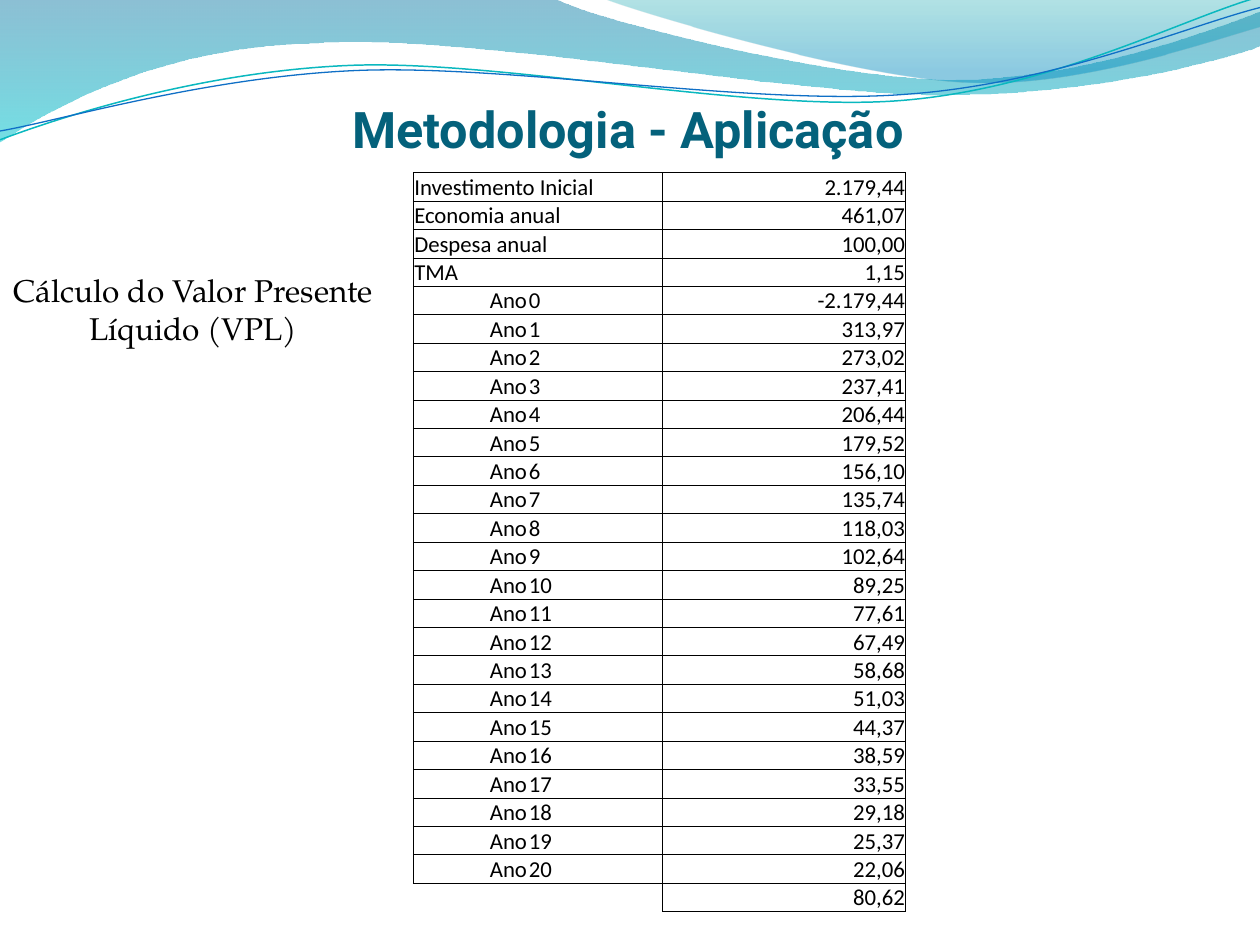
"""Builds the slide with the net present value table."""
from lxml.etree import SubElement
from pptx import Presentation
from pptx.dml.color import RGBColor
from pptx.enum.text import MSO_ANCHOR as Anchor, PP_ALIGN as Align
from pptx.oxml.ns import qn
from pptx.util import Inches, Pt

COLORS = {"ink": "000000", "title": "04617B", "teal": "0AB8BF", "blue": "0F6FC6",
          "deep": "0074A1", "aqua": "00C6CF", "sea": "00A1A9", "sky": "008BBF"}


def write_text(frame, text, size, font, color="ink", bold=False, align=Align.LEFT):
    para = frame.paragraphs[0]
    para.alignment = align
    span = para.add_run()
    span.text = text
    span.font.size = Pt(size)
    span.font.name = font
    span.font.bold = bold
    span.font.color.rgb = RGBColor.from_string(COLORS[color])


def add_curve(page, start, segments, closed=False):
    points = [(Inches(x), Inches(y)) for segment in segments
              for x, y in zip(segment[::2], segment[1::2])]
    builder = page.shapes.build_freeform(Inches(start[0]), Inches(start[1]), scale=1.0)
    builder.add_line_segments(points, close=closed)
    shape = builder.convert_to_shape()
    shape.shadow.inherit = False
    lines = list(shape.element.spPr.iter(qn("a:lnTo")))
    for segment in segments:
        count = len(segment) // 2
        group, lines = lines[:count], lines[count:]
        if count == 3:
            group[0].tag = qn("a:cubicBezTo")
            for line in group[1:]:
                group[0].append(line[0])
                line.getparent().remove(line)
    return shape


deck = Presentation()
deck.slide_width, deck.slide_height = Inches(10), Inches(7.5)
page = deck.slides.add_slide(deck.slide_layouts[6])

waves = [
    ((0, 0), [(4.4, -0.01), (4.76, 0.17, 6.64, 0.63, 7.58, 0.63),
              (8.53, 0.63, 9.58, 0.26, 10, 0.09), (10.01, 0.36),
              (9.83, 0.44, 8.7, 0.76, 7.46, 0.75), (6.22, 0.75, 3.82, 0.28, 2.57, 0.34),
              (1.29, 0.36, 0.46, 0.83, -0.01, 1.13)],
     [(0, "deep", 45), (1, "aqua", 55)]),
    ((4.79, -0.01), [(5.09, 0.11, 6.82, 0.62, 7.69, 0.65),
                     (8.56, 0.69, 9.61, 0.32, 10, 0.21), (10, 0)],
     [(0, "sea", 30), (0.8, "sky", 45)]),
]
for start, segments, stops in waves:
    wave = add_curve(page, start, segments, closed=True)
    wave.fill.gradient()
    wave.fill.gradient_angle = 270
    for stop, (position, color, _) in zip(wave.fill.gradient_stops, stops):
        stop.position = position
        stop.color.rgb = RGBColor.from_string(COLORS[color])
    for node, (_, _, opacity) in zip(wave.element.spPr.iter(qn("a:srgbClr")), stops):
        SubElement(node, qn("a:alpha"), val=str(opacity * 1000))
    wave.line.fill.background()

strands = [
    ((0, 1.11), [(0.48, 0.93, 1.58, 0.57, 2.77, 0.52), (3.95, 0.47, 5.93, 0.89, 7.13, 0.8),
                 (8.33, 0.71, 9.38, 0.15, 9.98, -0.02)], "teal", 0.85),
    ((0, 1.04), [(0.47, 0.96, 1.64, 0.61, 2.83, 0.56), (4.03, 0.51, 5.97, 0.84, 7.17, 0.75),
                 (8.36, 0.67, 9.41, 0.21, 10, 0.06)], "blue", 0.75),
]
for start, segments, color, width in strands:
    strand = add_curve(page, start, segments)
    strand.fill.background()
    strand.line.color.rgb = RGBColor.from_string(COLORS[color])
    strand.line.width = Pt(width)

title = page.shapes.add_textbox(Inches(0), Inches(0.78), Inches(9.97), Inches(0.48)).text_frame
title.word_wrap = True
title.vertical_anchor = Anchor.BOTTOM
title.margin_left = title.margin_right = title.margin_bottom = 0
write_text(title, "Metodologia - Aplicação", size=28.8, font="Roboto", color="title",
           bold=True, align=Align.CENTER)

caption = page.shapes.add_textbox(Inches(0), Inches(2.1), Inches(3.07), Inches(0.71)).text_frame
caption.word_wrap = True
write_text(caption, "Cálculo do Valor Presente Líquido (VPL)", size=18,
           font="TeX Gyre Pagella", align=Align.CENTER)

inputs = [("Investimento Inicial", "2.179,44"), ("Economia anual", "461,07"),
          ("Despesa anual", "100,00"), ("TMA", "1,15")]
flows = ["-2.179,44", "313,97", "273,02", "237,41", "206,44", "179,52", "156,10",
         "135,74", "118,03", "102,64", "89,25", "77,61", "67,49", "58,68", "51,03",
         "44,37", "38,59", "33,55", "29,18", "25,37", "22,06"]
rows = [(label, "", value) for label, value in inputs]
rows += [("Ano", str(year), value) for year, value in enumerate(flows)]
rows.append(("", "", "80,62"))

frame = page.shapes.add_table(len(rows), 3, Inches(3.28), Inches(1.37),
                              Inches(3.91), Inches(0.21 * len(rows)))
table = frame.table
table.first_row = table.horz_banding = False
style = table._tbl.tblPr.find(qn("a:tableStyleId"))
style.text = "{2D5ABB26-0587-4C30-8999-92F81FD0307C}"
for column, width in zip(table.columns, (0.91, 1.07, 1.93)):
    column.width = Inches(width)

for r, row in enumerate(rows):
    table.rows[r].height = Inches(0.21)
    is_input, is_total = r < len(inputs), r == len(rows) - 1
    if is_input:
        table.cell(r, 0).merge(table.cell(r, 1))
    for c, text in enumerate(row):
        cell = table.cell(r, c)
        cell.margin_left = cell.margin_right = cell.margin_top = Pt(0.6)
        cell.margin_bottom = 0
        cell.vertical_anchor = Anchor.BOTTOM
        if text:
            to_right = c == 2 or (c == 0 and not is_input)
            write_text(cell.text_frame, text, size=13, font="Calibri",
                       align=Align.RIGHT if to_right else Align.LEFT)
        else:
            SubElement(cell.text_frame.paragraphs[0]._p, qn("a:endParaRPr"), sz="1300")
        sides = "LRTB" if is_input or c == 2 else ("LTB", "RTB")[c]
        if is_total and c < 2:
            sides = ("T", "RT")[c]
        for side in sides:
            edge = SubElement(cell._tc.get_or_add_tcPr(), qn(f"a:ln{side}"), w=str(Pt(0.5)))
            fill = SubElement(edge, qn("a:solidFill"))
            SubElement(fill, qn("a:srgbClr"), val=COLORS["ink"])
        cell.fill.background()

deck.save("out.pptx")
